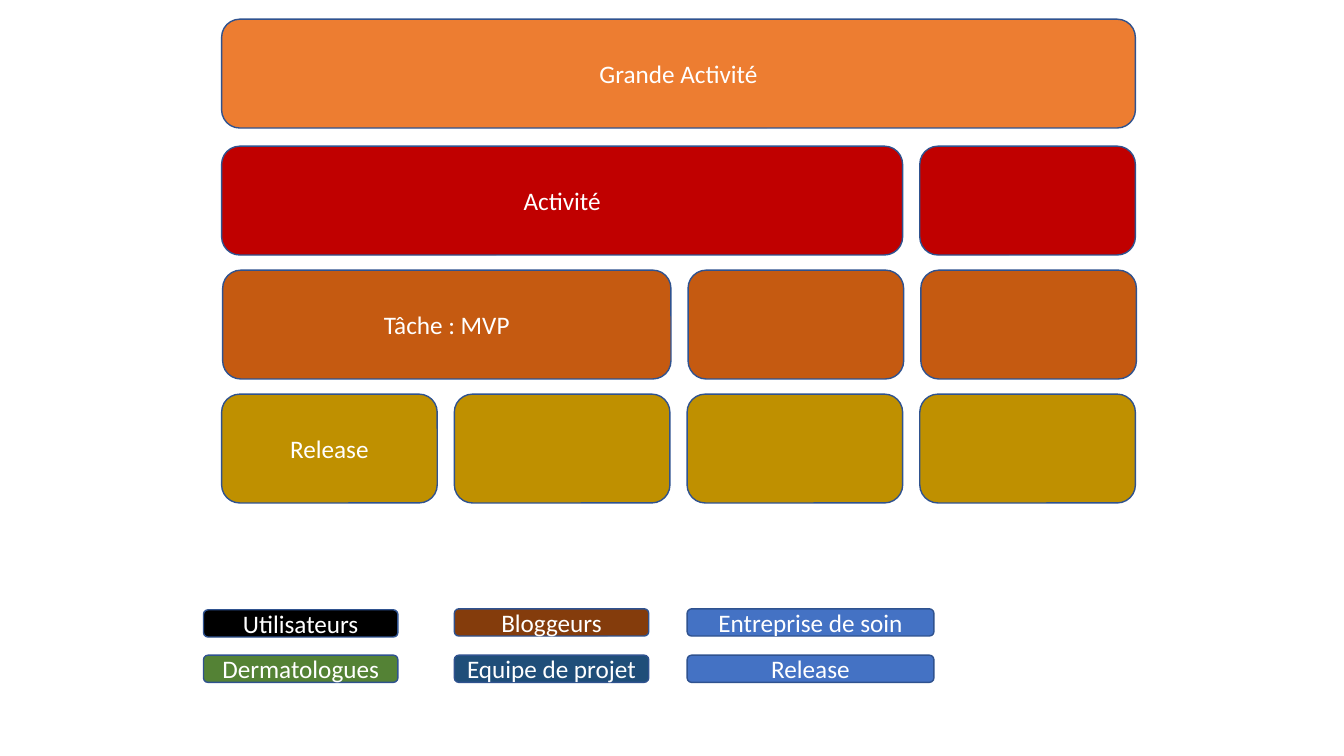
from dataclasses import dataclass

from pptx import Presentation
from pptx.dml.color import RGBColor
from pptx.enum.shapes import MSO_SHAPE as SHAPE
from pptx.enum.text import MSO_ANCHOR as ANCHOR, PP_ALIGN as ALIGN
from pptx.util import Inches, Pt


@dataclass(frozen=True)
class Theme:
    """Colours, font and sizes of the slide."""
    font: str = "Calibri"
    size: int = 18
    text: str = "FFFFFF"
    outline: str = "2F528F"
    outline_width: int = 1
    big_activity: str = "ED7D31"
    activity: str = "C00000"
    task: str = "C55A11"
    release: str = "BF9000"
    users: str = "000000"
    dermatologists: str = "548235"
    bloggers: str = "843C0C"
    team: str = "1F4E79"
    company: str = "4472C4"


THEME = Theme()

STORY_ROWS = [
    (0, 0, "Grande Activité", THEME.big_activity, [4]),
    (0, 1.26, "Activité", THEME.activity, [3, 1]),
    (0.01, 2.49, "Tâche : MVP", THEME.task, [2, 1, 1]),
    (0, 3.72, "Release", THEME.release, [1, 1, 1, 1]),
]

LEGEND_COLUMNS = [
    (0, 1.93, [(0.01, "Utilisateurs", THEME.users),
               (0.46, "Dermatologues", THEME.dermatologists)]),
    (2.49, 1.93, [(0, "Bloggeurs", THEME.bloggers),
                  (0.46, "Equipe de projet", THEME.team)]),
    (4.8, 2.45, [(0, "Entreprise de soin", THEME.company),
                 (0.46, "Release", THEME.company)]),
]


def add_card(slide, left, top, width, height, fill, label=""):
    """Add a rounded card with an optional centred label."""
    box = [Inches(v) for v in (left, top, width, height)]
    sp = slide.shapes.add_shape(SHAPE.ROUNDED_RECTANGLE, *box)
    sp.shadow.inherit = False
    sp.fill.solid()
    sp.fill.fore_color.rgb = RGBColor.from_string(fill)
    sp.line.color.rgb = RGBColor.from_string(THEME.outline)
    sp.line.width = Pt(THEME.outline_width)
    if label:
        tf = sp.text_frame
        tf.word_wrap = True
        tf.vertical_anchor = ANCHOR.MIDDLE
        p = tf.paragraphs[0]
        p.alignment = ALIGN.CENTER
        r = p.add_run()
        r.text = label
        for name, value in {"name": THEME.font, "size": Pt(THEME.size)}.items():
            setattr(r.font, name, value)
        r.font.color.rgb = RGBColor.from_string(THEME.text)


def add_story_map(slide, left, top, width, height=1.08, gap=0.17, columns=4):
    """Stack the story rows, each card spanning whole grid columns."""
    pitch = (width + gap) / columns
    for dx, dy, label, fill, spans in STORY_ROWS:
        for i, span in enumerate(spans):
            x = left + dx + sum(spans[:i]) * pitch
            add_card(slide, x, top + dy, span * pitch - gap, height, fill,
                     "" if i else label)


def add_legend(slide, left, top, height=0.27):
    """Lay out the legend tags in columns."""
    for dx, width, tags in LEGEND_COLUMNS:
        for dy, label, fill in tags:
            add_card(slide, left + dx, top + dy, width, height, fill, label)


def main():
    """Build the slide and save it."""
    prs = Presentation()
    prs.slide_width, prs.slide_height = Inches(13.34), Inches(7.5)
    slide = prs.slides.add_slide(prs.slide_layouts[6])
    add_story_map(slide, 2.2, 0.19, 9.07)
    add_legend(slide, 2.02, 6.04)
    prs.save("out.pptx")


if __name__ == "__main__":
    main()
